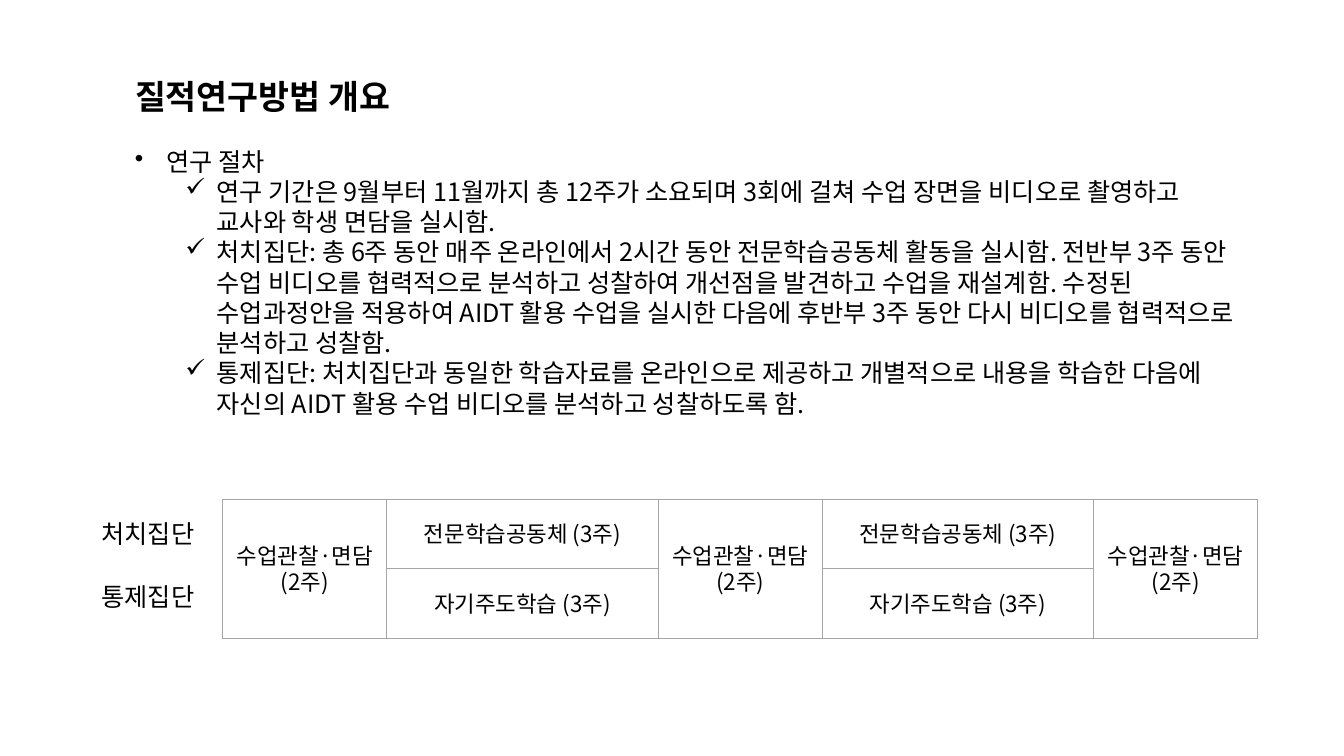
"""Build the slide on the qualitative research procedure with its two-group timeline."""
import pptx
import pptx.dml.color
import pptx.enum.shapes
import pptx.enum.text
import pptx.oxml.ns
import lxml.etree

Pt = pptx.util.Pt
ALIGN = pptx.enum.text.PP_ALIGN
ANCHOR = pptx.enum.text.MSO_ANCHOR

FONT = "Noto Sans CJK KR"
BLACK, GREY = "000000", "A5A5A5"
TITLE = "질적연구방법 개요"
BULLETS = [
    (0, "•", "연구 절차"),
    (1, "✓", "연구 기간은 9월부터 11월까지 총 12주가 소요되며 3회에 걸쳐 수업 장면을 비디오로 촬영하고 "
             "교사와 학생 면담을 실시함."),
    (1, "✓", "처치집단: 총 6주 동안 매주 온라인에서 2시간 동안 전문학습공동체 활동을 실시함. 전반부 3주 "
             "동안 수업 비디오를 협력적으로 분석하고 성찰하여 개선점을 발견하고 수업을 재설계함. 수정된 "
             "수업과정안을 적용하여 AIDT 활용 수업을 실시한 다음에 후반부 3주 동안 다시 비디오를 "
             "협력적으로 분석하고 성찰함."),
    (1, "✓", "통제집단: 처치집단과 동일한 학습자료를 온라인으로 제공하고 개별적으로 내용을 학습한 다음에 "
             "자신의 AIDT 활용 수업 비디오를 분석하고 성찰하도록 함."),
]
GROUPS = ["처치집단", "통제집단"]
OBSERVATION = ["수업관찰·면담\n(2주)"]
ACTIVITIES = ["전문학습공동체 (3주)", "자기주도학습 (3주)"]
STAGES = [OBSERVATION, ACTIVITIES, OBSERVATION, ACTIVITIES, OBSERVATION]

TEXT_LEFT, TEXT_WIDTH = 89.3, 812
TITLE_TOP, TITLE_HEIGHT = 50.4, 40
BODY_TOP, BODY_HEIGHT = 100.8, 247
HANGING, LEVEL_STEP = 22.5, 36
LABEL_LEFT, LABEL_TOP, LABEL_STEP = 65.5, 366.5, 45.4
LABEL_WIDTH, LABEL_HEIGHT = 87, 29
CHART_LEFT, CHART_TOP, CHART_HEIGHT = 159.1, 356.4, 99.4
OBSERVATION_WIDTH, ACTIVITY_WIDTH = 117.2, 193.8


def color(value):
    return pptx.dml.color.RGBColor.from_string(value)


def write(frame, text, size, bold=False, align=ALIGN.LEFT):
    frame.text = text
    for para in frame.paragraphs:
        para.alignment = align
        for span in para.runs:
            span.font.name, span.font.size, span.font.bold = FONT, Pt(size), bold
            span.font.color.rgb = color(BLACK)
            east_asian = lxml.etree.Element(pptx.oxml.ns.qn("a:ea"), typeface=FONT)
            span.font._element.find(pptx.oxml.ns.qn("a:latin")).addnext(east_asian)


def add_bullet(para, level, mark):
    para.level = level
    properties = para._p.get_or_add_pPr()
    properties.set("marL", str(Pt(HANGING + level * LEVEL_STEP)))
    properties.set("indent", str(-Pt(HANGING)))
    lxml.etree.SubElement(properties, pptx.oxml.ns.qn("a:buChar"), char=mark)


def add_title(page):
    title = page.shapes.title
    title.left, title.top = Pt(TEXT_LEFT), Pt(TITLE_TOP)
    title.width, title.height = Pt(TEXT_WIDTH), Pt(TITLE_HEIGHT)
    title.text_frame.vertical_anchor = ANCHOR.TOP
    title.text_frame.auto_size = pptx.enum.text.MSO_AUTO_SIZE.NONE
    write(title.text_frame, TITLE, 24, bold=True)


def add_body(page):
    box = page.shapes.add_textbox(Pt(TEXT_LEFT), Pt(BODY_TOP), Pt(TEXT_WIDTH), Pt(BODY_HEIGHT))
    box.text_frame.word_wrap = True
    write(box.text_frame, "\n".join(text for _, _, text in BULLETS), 18)
    for para, (level, mark, _) in zip(box.text_frame.paragraphs, BULLETS):
        add_bullet(para, level, mark)


def add_timeline(page):
    for row, group in enumerate(GROUPS):
        label = page.shapes.add_textbox(Pt(LABEL_LEFT), Pt(LABEL_TOP + row * LABEL_STEP),
                                        Pt(LABEL_WIDTH), Pt(LABEL_HEIGHT))
        label.text_frame.word_wrap = False
        write(label.text_frame, group, 18)
    left = CHART_LEFT
    for stage in STAGES:
        width = OBSERVATION_WIDTH if stage is OBSERVATION else ACTIVITY_WIDTH
        height = CHART_HEIGHT / len(stage)
        for row, text in enumerate(stage):
            cell = page.shapes.add_shape(pptx.enum.shapes.MSO_SHAPE.RECTANGLE, Pt(left),
                                         Pt(CHART_TOP + row * height), Pt(width), Pt(height))
            cell.shadow.inherit = False
            cell.fill.background()
            cell.line.color.rgb, cell.line.width = color(GREY), Pt(0.5)
            cell.text_frame.word_wrap = True
            cell.text_frame.vertical_anchor = ANCHOR.MIDDLE
            write(cell.text_frame, text, 16, align=ALIGN.CENTER)
        left += width


def main():
    deck = pptx.Presentation()
    deck.slide_width, deck.slide_height = Pt(960), Pt(540)
    page = deck.slides.add_slide(deck.slide_layouts[5])
    add_title(page)
    add_body(page)
    add_timeline(page)
    deck.save("out.pptx")


if __name__ == "__main__":
    main()
